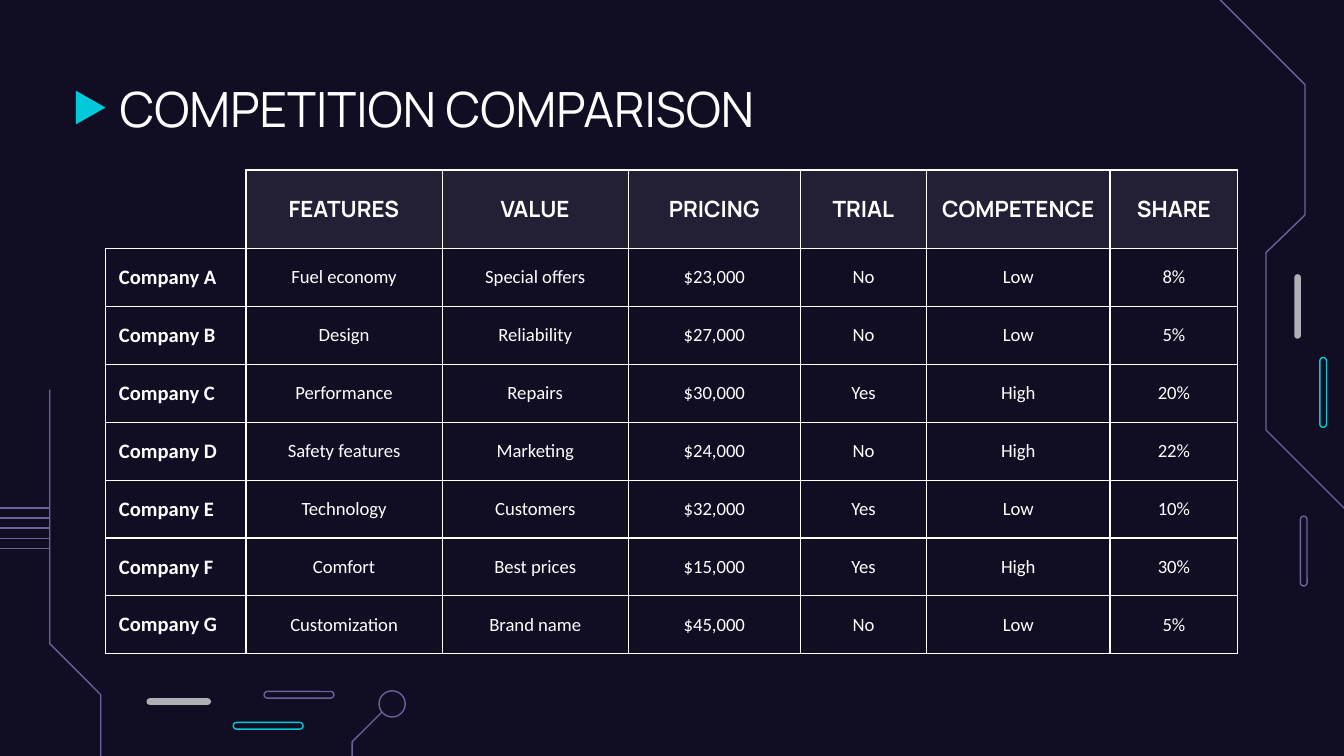
from dataclasses import dataclass

import pptx
import pptx.dml.color
import pptx.enum.shapes
import pptx.enum.text
import pptx.oxml
import pptx.oxml.ns
import pptx.util

SHAPES = pptx.enum.shapes.MSO_SHAPE
ANCHOR = pptx.enum.text.MSO_ANCHOR
ALIGN = pptx.enum.text.PP_ALIGN


@dataclass(frozen=True)
class Theme:
    night: str = "110E24"
    white: str = "FFFFFF"
    cyan: str = "00CADA"
    violet: str = "69639C"
    silver: str = "AFAFB6"
    display: str = "Manrope"
    text: str = "Calibri"
    title_size: int = 26
    header_size: int = 12
    company_size: int = 11
    detail_size: int = 10
    rule: float = 0.75
    header_alpha: int = 8


@dataclass(frozen=True)
class Area:
    column: float
    row: float
    columns: float
    rows: float


@dataclass(frozen=True)
class Capsule:
    area: Area
    color: str
    filled: bool = False


THEME = Theme()
SLIDE_WIDTH = pptx.util.Inches(10)
SLIDE_HEIGHT = pptx.util.Inches(5.625)
GRID_COLUMNS = 1000
UNIT = SLIDE_WIDTH / GRID_COLUMNS

CAPSULES = (
    Capsule(Area(963, 204, 5, 48), THEME.silver, True),
    Capsule(Area(109, 519.5, 48, 5), THEME.silver, True),
    Capsule(Area(982, 266, 5, 52), THEME.cyan),
    Capsule(Area(967.5, 384, 5, 52), THEME.violet),
    Capsule(Area(173.5, 537.5, 52, 5), THEME.cyan),
    Capsule(Area(196.5, 514.5, 52, 5), THEME.violet),
)
TRACES = (
    ((1008, 386), (942, 320), (942, 188), (971, 160), (971, 63), (896, -12), (890, -6)),
    ((75, 574), (75, 517), (37, 479), (37, 290)),
    ((284, 530), (262, 552), (262, 568)),
)
BUS_LINES = 5
BUS_TOP, BUS_STEP = 378, 7.5
BUS_LEFT, BUS_RIGHT = -130, 37

TITLE_AREA = Area(79, 49, 843, 63)
TABLE_AREA = Area(78.5, 126.5, 843, 360)
COLUMN_WIDTHS = (104.5, 146, 138.5, 128, 94, 136.5, 95)
HEADER_HEIGHT, COMPANY_HEIGHT = 58.5, 43.1
COMPARISON = (
    ("", "FEATURES", "VALUE", "PRICING", "TRIAL", "COMPETENCE", "SHARE"),
    ("Company A", "Fuel economy", "Special offers", "$23,000", "No", "Low", "8%"),
    ("Company B", "Design", "Reliability", "$27,000", "No", "Low", "5%"),
    ("Company C", "Performance", "Repairs", "$30,000", "Yes", "High", "20%"),
    ("Company D", "Safety features", "Marketing", "$24,000", "No", "High", "22%"),
    ("Company E", "Technology", "Customers", "$32,000", "Yes", "Low", "10%"),
    ("Company F", "Comfort", "Best prices", "$15,000", "Yes", "High", "30%"),
    ("Company G", "Customization", "Brand name", "$45,000", "No", "Low", "5%"),
)


def span(units: float) -> pptx.util.Emu:
    return pptx.util.Emu(round(units * UNIT))


def box(area: Area) -> tuple:
    return tuple(map(span, (area.column, area.row, area.columns, area.rows)))


def rgb(color: str) -> pptx.dml.color.RGBColor:
    return pptx.dml.color.RGBColor.from_string(color)


def paint(shape, color: str, filled: bool = False) -> None:
    shape.shadow.inherit = False
    if filled:
        shape.fill.solid()
        shape.fill.fore_color.rgb = rgb(color)
        shape.line.fill.background()
    else:
        shape.fill.background()
        stroke(shape, color)


def stroke(shape, color: str) -> None:
    shape.line.color.rgb = rgb(color)
    shape.line.width = pptx.util.Pt(THEME.rule)


def write(frame, text: str, font: str, size: int, bold: bool, align) -> None:
    frame.text = text
    line = frame.paragraphs[0]
    line.alignment = align
    for run in line.runs:
        run.font.name = font
        run.font.size = pptx.util.Pt(size)
        run.font.bold = bold
        run.font.color.rgb = rgb(THEME.white)


def draw_capsule(slide, capsule: Capsule) -> None:
    pill = slide.shapes.add_shape(SHAPES.ROUNDED_RECTANGLE, *box(capsule.area))
    pill.adjustments[0] = 0.5
    paint(pill, capsule.color, capsule.filled)


def draw_trace(slide, points: tuple) -> None:
    builder = slide.shapes.build_freeform(*points[0], scale=UNIT)
    builder.add_line_segments(points[1:], close=False)
    paint(builder.convert_to_shape(), THEME.violet)


def draw_bus_line(slide, row: float) -> None:
    wire = slide.shapes.add_connector(
        pptx.enum.shapes.MSO_CONNECTOR.STRAIGHT,
        span(BUS_LEFT), span(row), span(BUS_RIGHT), span(row))
    stroke(wire, THEME.violet)
    effects = pptx.oxml.parse_xml(f'<a:effectLst {pptx.oxml.ns.nsdecls("a")}/>')
    wire._element.spPr.append(effects)


def draw_circuit(slide) -> None:
    for capsule in CAPSULES:
        draw_capsule(slide, capsule)
    for points in TRACES:
        draw_trace(slide, points)
    for index in range(BUS_LINES):
        draw_bus_line(slide, BUS_TOP + index * BUS_STEP)
    node = slide.shapes.add_shape(SHAPES.OVAL, *box(Area(282, 514, 19.5, 19.5)))
    paint(node, THEME.violet)


def draw_title(slide) -> None:
    marker = slide.shapes.add_shape(SHAPES.FLOWCHART_MERGE, *box(Area(55, 69, 25, 22)))
    marker.rotation = 270
    paint(marker, THEME.cyan, True)
    title = slide.shapes.title
    title.left, title.top, title.width, title.height = box(TITLE_AREA)
    frame = title.text_frame
    frame.auto_size = pptx.enum.text.MSO_AUTO_SIZE.NONE
    frame.vertical_anchor = ANCHOR.MIDDLE
    frame.margin_left = frame.margin_right = frame.margin_top = frame.margin_bottom = span(10)
    write(frame, "COMPETITION COMPARISON", THEME.display, THEME.title_size, False, ALIGN.LEFT)


def rule_cell(cell, hidden_sides: str) -> None:
    for side in "LRTB":
        ink = "<a:noFill/>" if side in hidden_sides else (
            f'<a:solidFill><a:srgbClr val="{THEME.white}"/></a:solidFill>')
        cell._tc.get_or_add_tcPr().append(pptx.oxml.parse_xml(
            f'<a:ln{side} {pptx.oxml.ns.nsdecls("a")} '
            f'w="{pptx.util.Pt(THEME.rule)}">{ink}</a:ln{side}>'))


def fill_cell(cell, is_header: bool) -> None:
    cell.fill.solid()
    cell.fill.fore_color.rgb = rgb(THEME.white if is_header else THEME.night)
    if is_header:
        tint = cell._tc.tcPr.find(".//" + pptx.oxml.ns.qn("a:solidFill") + "[last()]")
        tint = cell._tc.tcPr.findall(pptx.oxml.ns.qn("a:solidFill"))[0][0]
        tint.append(pptx.oxml.parse_xml(
            f'<a:alpha {pptx.oxml.ns.nsdecls("a")} val="{THEME.header_alpha * 1000}"/>'))


def draw_comparison(slide) -> None:
    table = slide.shapes.add_table(
        len(COMPARISON), len(COLUMN_WIDTHS), *box(TABLE_AREA)).table
    table.first_row = table.horz_banding = False
    for column, width in zip(table.columns, COLUMN_WIDTHS):
        column.width = span(width)
    for r, entries in enumerate(COMPARISON):
        table.rows[r].height = span(COMPANY_HEIGHT if r else HEADER_HEIGHT)
        for c, entry in enumerate(entries):
            cell = table.cell(r, c)
            cell.vertical_anchor = ANCHOR.MIDDLE
            cell.margin_left = cell.margin_right = span(10)
            cell.margin_top = cell.margin_bottom = span(10)
            font = THEME.text if r else THEME.display
            size = THEME.header_size if r == 0 else (
                THEME.detail_size if c else THEME.company_size)
            write(cell.text_frame, entry, font, size, r == 0 or c == 0,
                  ALIGN.CENTER if c else ALIGN.LEFT)
            rule_cell(cell, "" if r or c else "LT")
            fill_cell(cell, r == 0 and c > 0)


def main() -> None:
    deck = pptx.Presentation()
    deck.slide_width, deck.slide_height = SLIDE_WIDTH, SLIDE_HEIGHT
    slide = deck.slides.add_slide(deck.slide_layouts[5])
    slide.background.fill.solid()
    slide.background.fill.fore_color.rgb = rgb(THEME.night)
    draw_circuit(slide)
    draw_title(slide)
    draw_comparison(slide)
    deck.save("out.pptx")


if __name__ == "__main__":
    main()
